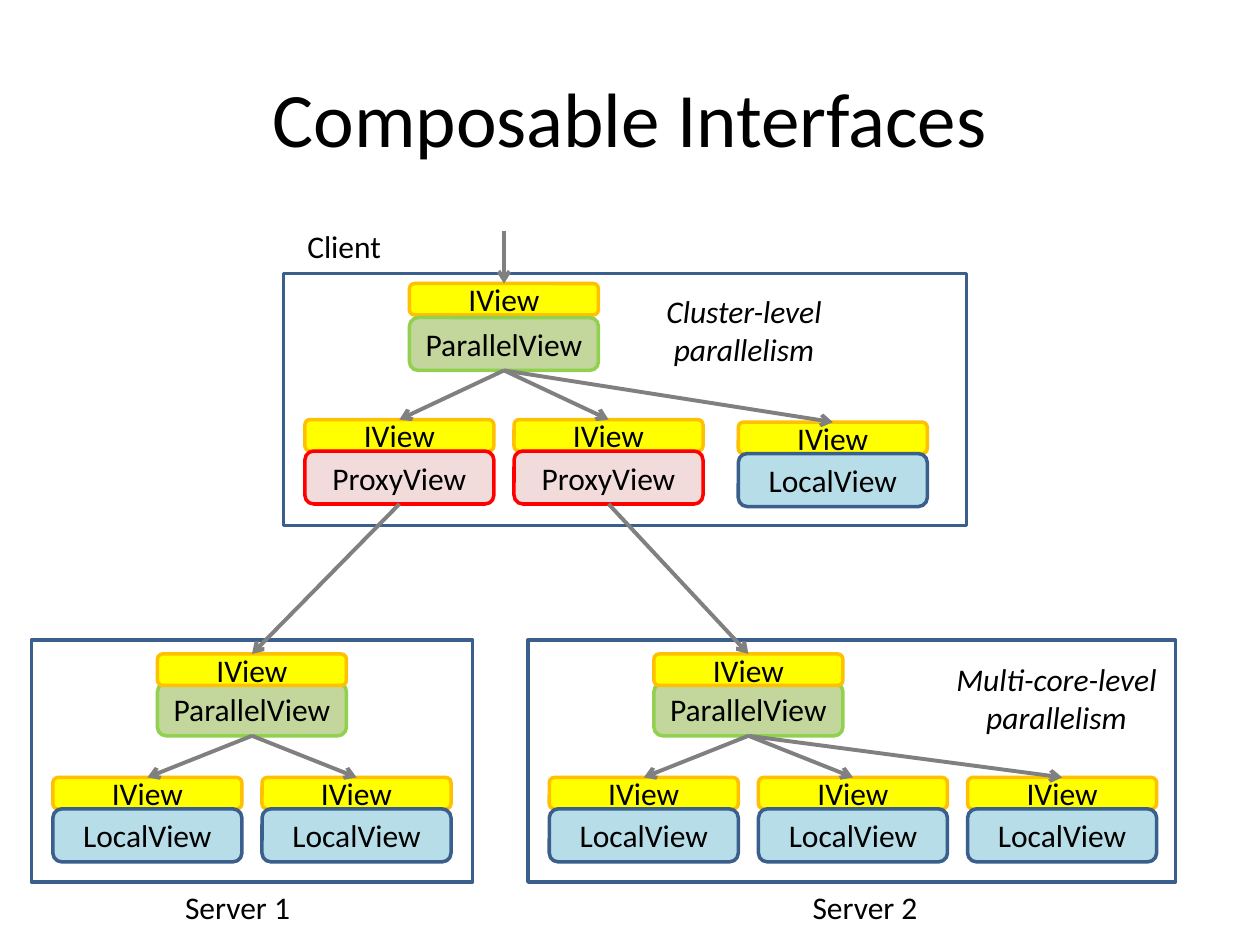
from lxml import etree
from pptx import Presentation
from pptx import util as u
from pptx.dml.color import RGBColor
from pptx.enum import shapes, text
from pptx.oxml import ns

COLORS = {
    "black": "000000", "frame": "3A5F8C", "arrow": "808080",
    "yellow": "FFFF00", "gold": "FFC000",
    "sage": "C3D69B", "green": "92D050",
    "pink": "F2DCDB", "red": "FF0000", "aqua": "B7DEE8",
}
STYLES = {
    "IView": ("yellow", "gold"),
    "ParallelView": ("sage", "green"),
    "ProxyView": ("pink", "red"),
    "LocalView": ("aqua", "frame"),
}
VIEW_W, INTERFACE_H, BODY_H = 1.5, 0.25, 0.42
TOP, BOTTOM = 0, 2


def rgb(name):
    return RGBColor.from_string(COLORS[name])


def inches(*values):
    return [u.Inches(v) for v in values]


def write(tf, content, size=18, italic=False, align=text.PP_ALIGN.CENTER,
          anchor=text.MSO_ANCHOR.MIDDLE, wrap=True):
    tf.word_wrap = wrap
    tf.vertical_anchor = anchor
    for i, line in enumerate(content.split("\n")):
        p = tf.paragraphs[0] if i == 0 else tf.add_paragraph()
        p.alignment = align
        r = p.add_run()
        r.text = line
        r.font.name = "Calibri"
        r.font.size = u.Pt(size)
        r.font.italic = italic
        r.font.color.rgb = rgb("black")


def add_label(s, content, box, **fmt):
    tf = s.shapes.add_textbox(*inches(*box)).text_frame
    write(tf, content, **fmt)


def add_caption(s, content, box, **fmt):
    add_label(s, content, box, anchor=text.MSO_ANCHOR.TOP, wrap=False, **fmt)


def add_box(s, preset, box, line, fill=None):
    sp = s.shapes.add_shape(preset, *inches(*box))
    sp.shadow.inherit = False
    if fill:
        sp.fill.solid()
        sp.fill.fore_color.rgb = rgb(fill)
    else:
        sp.fill.background()
    sp.line.color.rgb = rgb(line)
    sp.line.width = u.Pt(2)
    return sp


def add_frame(s, *box):
    add_box(s, shapes.MSO_SHAPE.RECTANGLE, box, "frame")


def add_part(s, name, x, y, h):
    fill, line = STYLES[name]
    sp = add_box(s, shapes.MSO_SHAPE.ROUNDED_RECTANGLE, (x, y, VIEW_W, h), line, fill)
    write(sp.text_frame, name)
    return sp


def add_view(s, name, x, y, offset=INTERFACE_H):
    parts = [("IView", y, INTERFACE_H), (name, y + offset, BODY_H)]
    if offset < INTERFACE_H:
        parts.reverse()
    drawn = {part: add_part(s, part, x, top, h) for part, top, h in parts}
    return drawn["IView"], drawn[name]


def add_arrow(s, target, source=None, start=(0, 0)):
    c = s.shapes.add_connector(shapes.MSO_CONNECTOR.STRAIGHT, *inches(*start, *start))
    if source is not None:
        c.begin_connect(source, BOTTOM)
    c.end_connect(target, TOP)
    c.line.color.rgb = rgb("arrow")
    c.line.width = u.Pt(2.25)
    etree.SubElement(c.line._get_or_add_ln(), ns.qn("a:tailEnd"), type="arrow")
    etree.SubElement(c._element.spPr, ns.qn("a:effectLst"))


def add_tree(s, x, y, offset, children):
    interface, body = add_view(s, "ParallelView", x, y, offset)
    views = [add_view(s, *child) for child in children]
    for child_interface, _ in views:
        add_arrow(s, child_interface, body)
    return interface, [child_body for _, child_body in views]


def add_server(s, x, width, cores):
    add_frame(s, x, 5.08, width, 1.92)
    children = [("LocalView", x + 0.17 + 1.66 * i, 6.17) for i in range(cores)]
    interface, _ = add_tree(s, x + 1, 5.19, 0.23, children)
    return interface


def main():
    prs = Presentation()
    prs.slide_width, prs.slide_height = inches(10, 7.5)
    s = prs.slides.add_slide(prs.slide_layouts[6])

    add_label(s, "Composable Interfaces", (0.5, 0.3, 9, 1.25), size=44)

    add_frame(s, 2.25, 2.17, 5.42, 2)
    client, bodies = add_tree(s, 3.25, 2.25, 0.27, [
        ("ProxyView", 2.42, 3.33),
        ("ProxyView", 4.08, 3.33),
        ("LocalView", 5.86, 3.35),
    ])
    add_arrow(s, client, start=(4, 1.83))

    servers = [add_server(s, 0.25, 3.5, 2), add_server(s, 4.19, 5.14, 3)]
    for proxy, server in zip(bodies, servers):
        add_arrow(s, server, proxy)

    for content, box in [
        ("Client", (2.34, 1.75, 0.79, 0.4)),
        ("Server 1", (1.37, 7, 1.05, 0.4)),
        ("Server 2", (6.35, 7, 1.05, 0.4)),
    ]:
        add_caption(s, content, box, align=text.PP_ALIGN.LEFT)
    for content, box in [
        ("Cluster-level\nparallelism", (5.17, 2.27, 1.47, 0.71)),
        ("Multi-core-level\nparallelism", (7.47, 5.19, 1.83, 0.71)),
    ]:
        add_caption(s, content, box, italic=True)

    prs.save("out.pptx")


if __name__ == "__main__":
    main()
